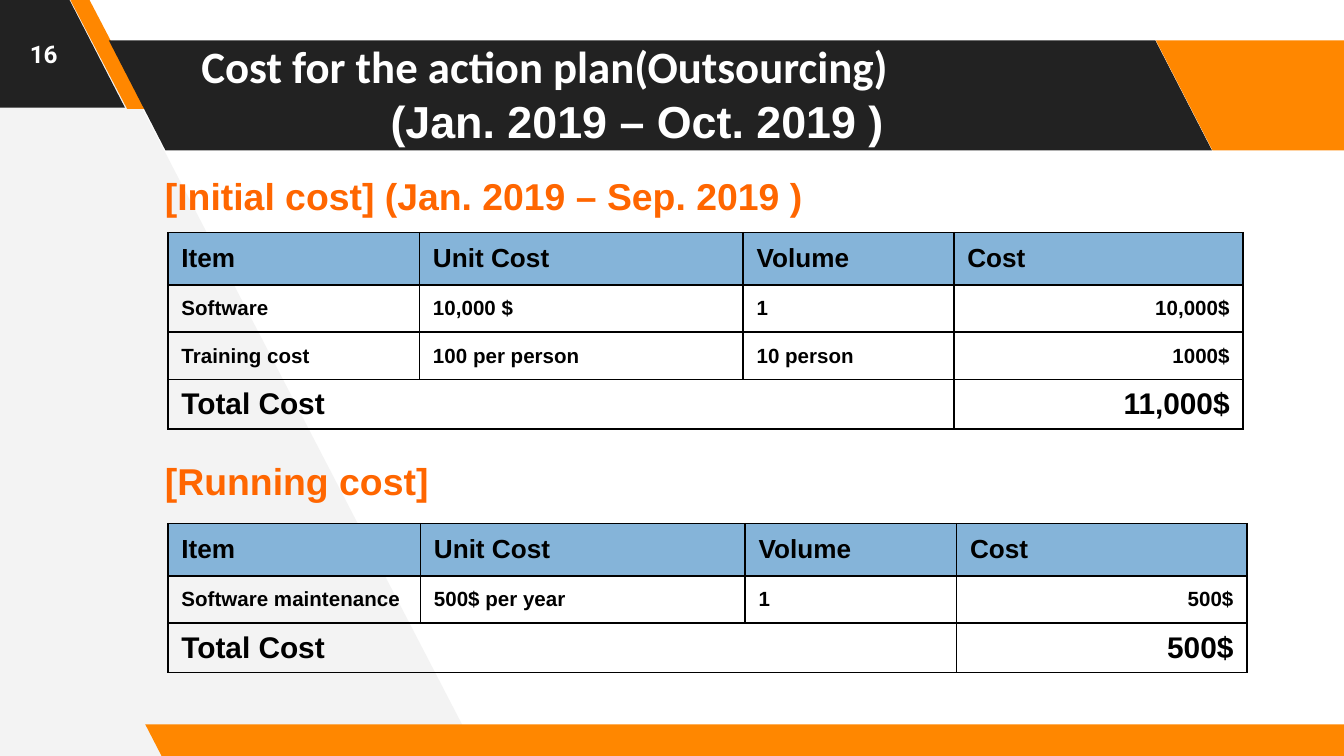
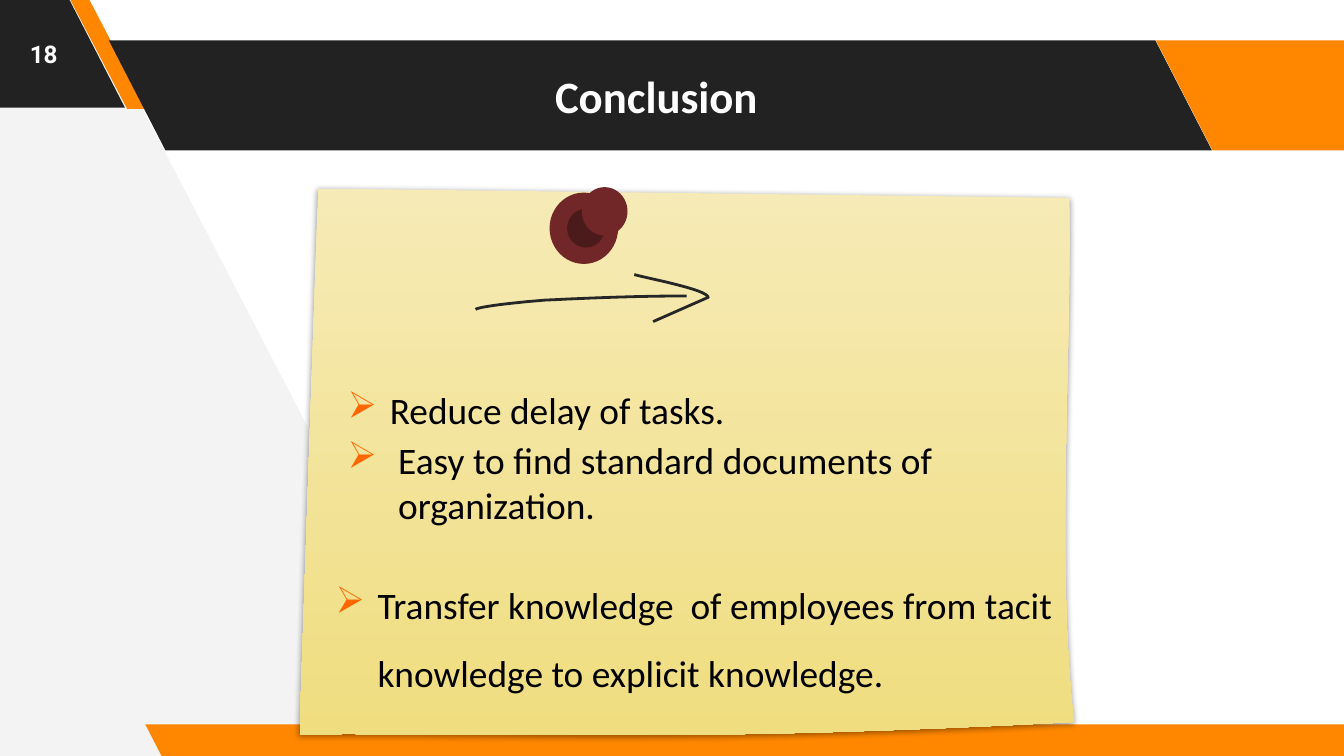
from lxml.etree import SubElement as Sub
from pptx import Presentation as Deck
from pptx.dml.color import RGBColor as Rgb
from pptx.enum.shapes import MSO_SHAPE as Kind
from pptx.enum.text import MSO_ANCHOR as Anchor, PP_ALIGN as Align
from pptx.oxml.ns import qn
from pptx.util import Pt

WIDE, HIGH = 720, 405
HUE = {
    "white": "FFFFFF", "black": "000000", "dark": "222222", "pale": "F3F3F3",
    "orange": "FF8700", "accent": "FF6600", "blue": "85B4D9", "ink": "262626",
    "light": "F6EBB6", "sand": "F0DD80", "red": "712627", "deep": "4B1A1A",
}
SHARES = (0.234, 0.301, 0.196, 0.269)
HEADS = ("Item", "Unit Cost", "Volume", "Cost")


def tint(name):
    return Rgb.from_string(HUE[name])


def put(frame, text, size=20, font="Arial", hue="black", bold=False,
        align=Align.LEFT, before=0, lead=None, hang=None):
    para = frame.paragraphs[0]
    para.alignment = align
    if before:
        para.space_before = Pt(before)
    if lead:
        para.line_spacing = lead
    if hang:
        props = para._p.get_or_add_pPr()
        props.set("marL", str(Pt(hang)))
        props.set("indent", str(-Pt(hang)))
        Sub(Sub(props, qn("a:buClr")), qn("a:srgbClr"), val=HUE["accent"])
        Sub(props, qn("a:buChar"), char="➢")
    run = para.add_run()
    run.text = text
    run.font.size = Pt(size)
    run.font.name = font
    run.font.bold = bold
    run.font.color.rgb = tint(hue)


def label(slide, text, box, inset=(7.2, 3.6), anchor=Anchor.MIDDLE, **form):
    frame = slide.shapes.add_textbox(*map(Pt, box)).text_frame
    frame.word_wrap = True
    frame.vertical_anchor = anchor
    frame.margin_left = frame.margin_right = Pt(inset[0])
    frame.margin_top = frame.margin_bottom = Pt(inset[1])
    put(frame, text, **form)


def paint(shape, hue):
    shape.shadow.inherit = False
    shape.fill.solid()
    shape.fill.fore_color.rgb = tint(hue)
    shape.line.fill.background()


def slant(slide, box, hue, skew=0.515):
    shape = slide.shapes.add_shape(Kind.PARALLELOGRAM, *map(Pt, box))
    shape.adjustments[0] = skew
    shape.element.spPr.xfrm.set("flipH", "1")
    paint(shape, hue)


def bend(start, curve, steps=16):
    knots = [start, *zip(curve[::2], curve[1::2])]
    for step in range(1, steps + 1):
        t = step / steps
        parts = ((1 - t) ** 3, 3 * t * (1 - t) ** 2, 3 * t * t * (1 - t), t ** 3)
        yield tuple(sum(p * k[axis] for p, k in zip(parts, knots)) for axis in (0, 1))


def trace(slide, left, top, steps, close=True):
    dots = [steps[0]]
    for step in steps[1:]:
        dots.extend([step] if len(step) == 2 else bend(dots[-1], step))
    spots = [(Pt(left + x), Pt(top + y)) for x, y in dots]
    pen = slide.shapes.build_freeform(*spots[0])
    pen.add_line_segments(spots[1:], close=close)
    shape = pen.convert_to_shape()
    shape.shadow.inherit = False
    return shape


def frame_slide(slide, box, number):
    x, y, w, h = box
    wedge = trace(slide, x, y, [(256.3, h), (44.6, -2.9), (-4.3, -2.9), (-1.4, h + 2.5)])
    paint(wedge, "pale")
    slant(slide, (x - 71.3, y - 1.4, 138.2, 59), "dark")
    slant(slide, (x + 37.4, y - 0.7, 41, 59), "orange", 0.75)
    slant(slide, (x + 58.3, y + 21.6, 591, 59), "dark")
    slant(slide, (x + w - 100.8, y + 21.6, 138.2, 59), "orange")
    slant(slide, (x + 77.8, y + h - 17, 658.8, 18), "orange")
    label(slide, number, (x, y, 46.8, 57.6), inset=(7.2, 7.2), size=13,
          font="Roboto", hue="white", bold=True, align=Align.CENTER)


def title(slide, text, box, align=Align.LEFT):
    label(slide, text, box, inset=(7.2, 7.2), size=24, font="Calibri",
          hue="white", bold=True, align=align)


def edge(cell):
    props = cell._tc.get_or_add_tcPr()
    for side in ("lnL", "lnR", "lnT", "lnB"):
        line = Sub(props, qn("a:" + side), w=str(Pt(1)))
        Sub(Sub(line, qn("a:solidFill")), qn("a:srgbClr"), val=HUE["black"])


def costs(slide, box, items, total):
    rows = [HEADS, *items, ("Total Cost", "", "", total)]
    last = len(rows) - 1
    grid = slide.shapes.add_table(len(rows), len(HEADS), *map(Pt, box)).table
    grid.first_row = grid.horz_banding = False
    for col, share in zip(grid.columns, SHARES):
        col.width = Pt(box[2] * share)
    for r, row in enumerate(rows):
        grid.rows[r].height = Pt({0: 28, last: 26.5}.get(r, 25.4))
        size = {0: 14, last: 16}.get(r, 11)
        for c, text in enumerate(row):
            cell = grid.cell(r, c)
            edge(cell)
            cell.vertical_anchor = Anchor.MIDDLE
            if r == 0:
                cell.fill.solid()
                cell.fill.fore_color.rgb = tint("blue")
            else:
                cell.fill.background()
            if text:
                put(cell.text_frame, text, size=size, bold=True, before=size * 0.2,
                    align=Align.RIGHT if r and c == 3 else Align.LEFT)
    grid.cell(last, 0).merge(grid.cell(last, 2))


def section(slide, box, head, gap, items, total):
    x, y, w, h = box
    label(slide, head, (x - 4.5, y, 634, 24.5), inset=(2.9, 0),
          anchor=Anchor.TOP, hue="accent", bold=True)
    costs(slide, (x, y + gap, w, h - gap), items, total)


def pin(slide, box):
    x, y, w, h = box
    for left, top, wide, high, hue in (
        (0, 2.9, 36.7, 38.2, "red"),
        (9.4, 11.5, 20.2, 20.9, "deep"),
        (w - 24.5, 0, 24.5, 25.9, "red"),
    ):
        disc = slide.shapes.add_shape(Kind.OVAL, *map(Pt, (x + left, y + top, wide, high)))
        paint(disc, hue)


def arrow(slide, box):
    x, y, w, h = box
    stem = [(0, 18.7), (1.5, 17.3, 19.5, 15.1, 37.5, 13.7),
            (55.5, 12.9, 82.1, 11.5, 113.1, 11.5)]
    tip = [(95.1, h), (w, 12.2), (w - 0.7, 7.9, 92.2, 2.1, 85, 0)]
    for steps in (stem, tip):
        stroke = trace(slide, x, y, steps, close=False)
        stroke.fill.background()
        stroke.line.color.rgb = tint("ink")
        stroke.line.width = Pt(1.5)


def shade(shape):
    glow = Sub(shape.element.spPr.find(qn("a:effectLst")), qn("a:outerShdw"),
               blurRad=str(Pt(3)), dist=str(Pt(1)), dir="5400000", rotWithShape="0")
    tone = Sub(glow, qn("a:srgbClr"), val=HUE["black"])
    Sub(tone, qn("a:alpha"), val="40000")


def note(slide, box):
    x, y, w, h = box
    sheet = trace(slide, x, y, [
        (10, 0), (w - 2.2, 5), (w - 1.4, 99.4, w - 9.3, 199.4, w, 285.8),
        (208.8, 296.6, 138.2, 291.6, 0, h),
    ])
    sheet.fill.gradient()
    sheet.fill.gradient_angle = 270
    for stop, hue in zip(sheet.fill.gradient_stops, ("light", "sand")):
        stop.color.rgb = tint(hue)
    sheet.line.fill.background()
    shade(sheet)
    arrow(slide, (x + 94.3, y + 46.1, 124.6, 25.2))
    pin(slide, (x + 133.9, y - 0.7, 41.8, 41.1))
    for text, left, top, wide, high, hang, lead in (
        ("Reduce delay of tasks.", 18.7, 90.7, 248.4, 43.9, 22.5, 1.5),
        ("Easy to find standard documents of organization.",
         18.7, 129.6, 378, 80, 27, None),
        ("Transfer knowledge  of employees from tacit knowledge to explicit knowledge.",
         12.2, 197.3, 414.7, 75.6, 22.5, 1.5),
    ):
        label(slide, text, (x + left, y + top, wide, high), font="Calibri",
              hang=hang, lead=lead, anchor=Anchor.MIDDLE if lead else Anchor.TOP)


def start(deck, number):
    slide = deck.slides.add_slide(deck.slide_layouts[6])
    frame_slide(slide, (0, 0, WIDE, HIGH), number)
    return slide


deck = Deck()
deck.slide_width, deck.slide_height = Pt(WIDE), Pt(HIGH)

plan = start(deck, "16")
title(plan, "Cost for the action plan(Outsourcing)", (100.8, 5.8, 529.2, 59))
label(plan, "(Jan. 2019 – Oct. 2019 )", (179.3, 46.8, 324, 36), size=24,
      hue="white", bold=True, align=Align.CENTER)
section(plan, (90, 93, 576, 137), "[Initial cost] (Jan. 2019 – Sep. 2019 )", 31.6, [
    ("Software", "10,000 $", "1", "10,000$"),
    ("Training cost", "100 per person", "10 person", "1000$"),
], "11,000$")
section(plan, (90, 245.5, 578, 115), "[Running cost]", 35, [
    ("Software maintenance", "500$ per year", "1", "500$"),
], "500$")

ending = start(deck, "18")
title(ending, "Conclusion", (87, 21.6, 529.2, 59), Align.CENTER)
note(ending, (160.5, 101, 414.7, 292.3))

deck.save("out.pptx")
